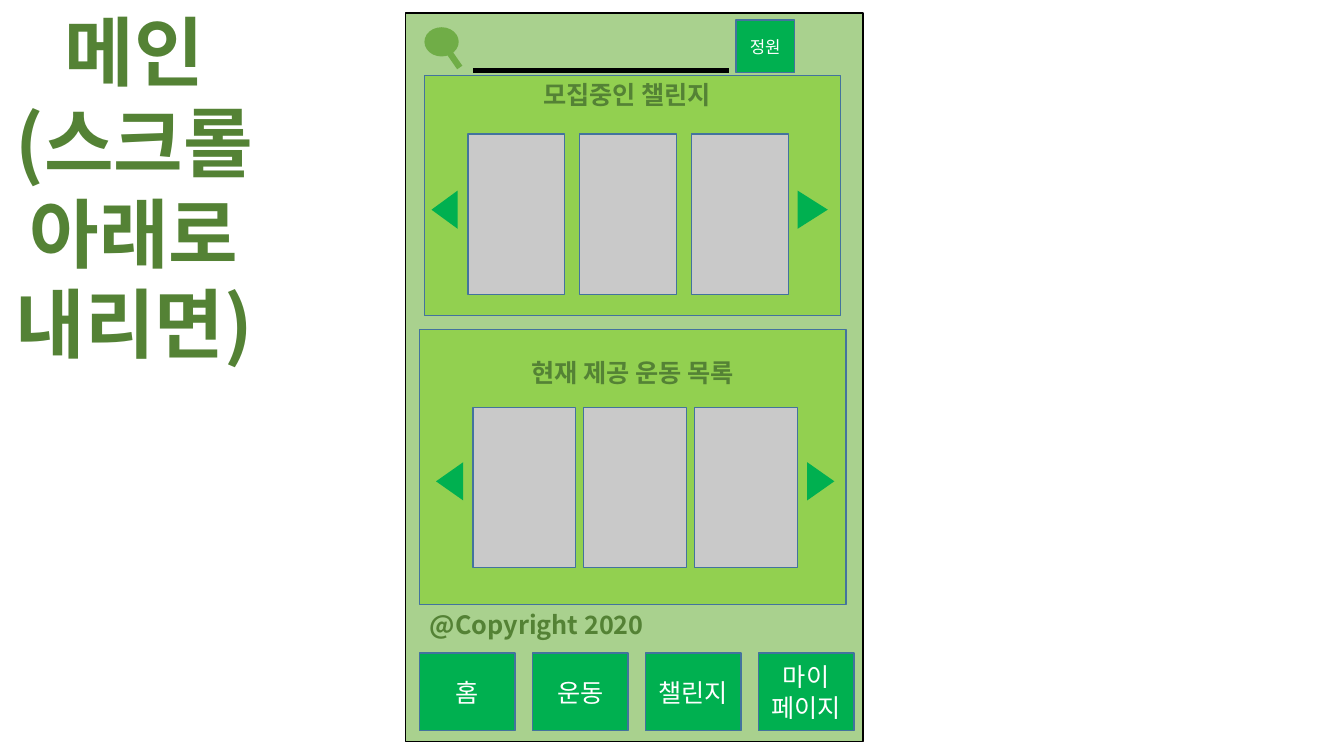
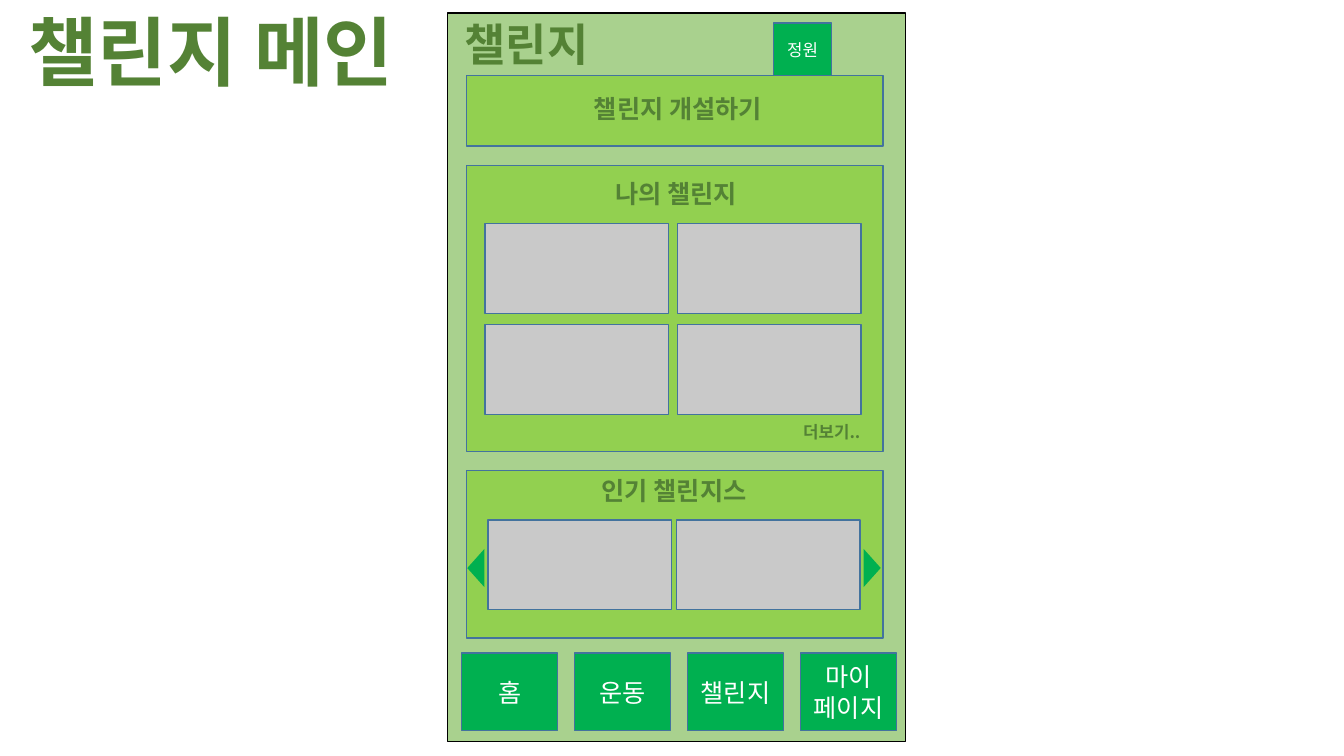
from dataclasses import dataclass

from pptx import Presentation
from pptx.dml.color import RGBColor
from pptx.enum.shapes import MSO_CONNECTOR, MSO_SHAPE as SHAPE
from pptx.enum.text import MSO_ANCHOR as ANCHOR, MSO_AUTO_SIZE as FIT, PP_ALIGN as ALIGN
from pptx.oxml.xmlchemy import OxmlElement
from pptx.util import Inches, Pt


@dataclass(frozen=True)
class Theme:
    font: str = "Noto Sans CJK KR"
    screen: str = "A9D18E"
    panel: str = "92D050"
    button: str = "00B050"
    card: str = "C9C9C9"
    search: str = "70AD47"
    edge: str = "43739E"
    heading: str = "548235"
    black: str = "000000"
    white: str = "FFFFFF"
    title_pt: int = 54
    screen_pt: int = 32
    body_pt: int = 18
    small_pt: int = 12


T = Theme()


def write(tf, text, size, color=T.heading, bold=True, align=ALIGN.CENTER, anchor=ANCHOR.TOP):
    """Fill a text frame, one paragraph per line of text."""
    tf.text = text
    frame_format = {"word_wrap": True, "auto_size": FIT.NONE, "vertical_anchor": anchor}
    for name, value in frame_format.items():
        setattr(tf, name, value)
    for p in tf.paragraphs:
        p.alignment = align
        for r in p.runs:
            for name, value in {"name": T.font, "size": Pt(size), "bold": bold}.items():
                setattr(r.font, name, value)
            r.font.color.rgb = RGBColor.from_string(color)
            ea = OxmlElement("a:ea")
            ea.set("typeface", T.font)
            r.font._element.append(ea)


def box(s, at, fill, edge=T.edge, shape=SHAPE.RECTANGLE, rotation=0, text="", size=T.body_pt):
    """Add a flat shape, with centred white text if any is given."""
    sp = s.shapes.add_shape(shape, *map(Inches, at))
    sp.shadow.inherit = False
    sp.rotation = rotation
    sp.fill.solid()
    sp.fill.fore_color.rgb = RGBColor.from_string(fill)
    if edge:
        sp.line.color.rgb = RGBColor.from_string(edge)
        sp.line.width = Pt(1)
    else:
        sp.line.fill.background()
    if text:
        write(sp.text_frame, text, size, T.white, False, anchor=ANCHOR.MIDDLE)


# Screens: panels, card rows (left, top, width, height, step, count),
# arrows (left, top, width, height, rotation) and labels (text, frame, size, alignment)
screens = [
    {
        "title": "메인\n(스크롤 아래로\n내리면)",
        "title_at": (-0.25, 0, 3.16, 3.74),
        "left": 4.02,
        "badge": (7.3, 0.2),
        "panels": [(4.21, 0.75, 4.13, 2.38), (4.16, 3.27, 4.23, 2.73)],
        "cards": [(4.64, 1.33, 0.96, 1.59, 1.11, 3), (4.69, 4.04, 1.02, 1.59, 1.1, 3)],
        "arrows": [
            (4.22, 1.95, 0.38, 0.26, 270), (7.87, 1.93, 0.38, 0.3, 90),
            (4.27, 4.64, 0.38, 0.27, 270), (7.95, 4.64, 0.38, 0.27, 90),
        ],
        "labels": [
            ("모집중인 챌린지", (4.52, 0.74, 3.4, 0.4), T.body_pt, ALIGN.CENTER),
            ("현재 제공 운동 목록", (4.93, 3.5, 2.69, 0.4), T.body_pt, ALIGN.CENTER),
            ("@Copyright 2020", (3.99, 6, 2.67, 0.4), T.body_pt, ALIGN.CENTER),
        ],
    },
    {
        "title": "챌린지 메인",
        "title_at": (-0.15, 0, 4.48, 1.01),
        "left": 4.44,
        "badge": (7.67, 0.23),
        "panels": [(4.63, 0.75, 4.13, 0.7), (4.63, 1.64, 4.13, 2.84), (4.63, 4.67, 4.13, 1.66)],
        "cards": [
            (4.81, 2.22, 1.82, 0.89, 1.91, 2),
            (4.81, 3.22, 1.82, 0.89, 1.91, 2),
            (4.84, 5.16, 1.82, 0.89, 1.87, 2),
        ],
        "arrows": [(4.53, 5.55, 0.38, 0.17, 270), (8.46, 5.55, 0.38, 0.17, 90)],
        "labels": [
            ("챌린지", (4.51, 0.12, 2.33, 0.64), T.screen_pt, ALIGN.LEFT),
            ("챌린지 개설하기", (5.56, 0.88, 2.33, 0.4), T.body_pt, ALIGN.CENTER),
            ("나의 챌린지", (5.87, 1.72, 1.67, 0.4), T.body_pt, ALIGN.CENTER),
            ("더보기..", (7.83, 4.13, 0.84, 0.3), T.small_pt, ALIGN.CENTER),
            ("인기 챌린지스", (5.52, 4.67, 2.33, 0.4), T.body_pt, ALIGN.CENTER),
        ],
    },
]
nav_items = ["홈", "운동", "챌린지", "마이\n페이지"]

prs = Presentation()
prs.slide_width, prs.slide_height = Inches(13.33), Inches(7.5)

for screen in screens:
    s = prs.slides.add_slide(prs.slide_layouts[5])

    # Title
    title = s.shapes.title
    for name, value in zip(("left", "top", "width", "height"), screen["title_at"]):
        setattr(title, name, Inches(value))
    write(title.text_frame, screen["title"], T.title_pt)

    # Phone screen and its panels
    box(s, (screen["left"], 0.13, 4.54, 7.23), T.screen, T.black)
    for panel in screen["panels"]:
        box(s, panel, T.panel)

    # Cards and scroll arrows
    for left, top, width, height, step, count in screen["cards"]:
        for i in range(count):
            box(s, (left + i * step, top, width, height), T.card)
    for *at, rotation in screen["arrows"]:
        box(s, at, T.button, None, SHAPE.ISOSCELES_TRIANGLE, rotation)

    # Labels
    for text, at, size, align in screen["labels"]:
        tb = s.shapes.add_textbox(*map(Inches, at))
        write(tb.text_frame, text, size, align=align)

    # Garden badge and navigation bar
    box(s, (*screen["badge"], 0.58, 0.52), T.button, text="정원", size=T.small_pt)
    for i, item in enumerate(nav_items):
        box(s, (screen["left"] + 0.14 + i * 1.12, 6.48, 0.95, 0.77), T.button, text=item)

# Search field on the main screen: lens, handle and underline
main = prs.slides[0]
box(main, (4.21, 0.27, 0.34, 0.29), T.search, None, SHAPE.OVAL)
search_lines = [((4.38, 0.41, 4.56, 0.67), T.search, 4.5), ((4.69, 0.7, 7.23, 0.7), T.black, 3)]
for ends, color, width in search_lines:
    line = main.shapes.add_connector(MSO_CONNECTOR.STRAIGHT, *map(Inches, ends))
    line.line.color.rgb = RGBColor.from_string(color)
    line.line.width = Pt(width)
    line._element.spPr.append(OxmlElement("a:effectLst"))

prs.save("out.pptx")
